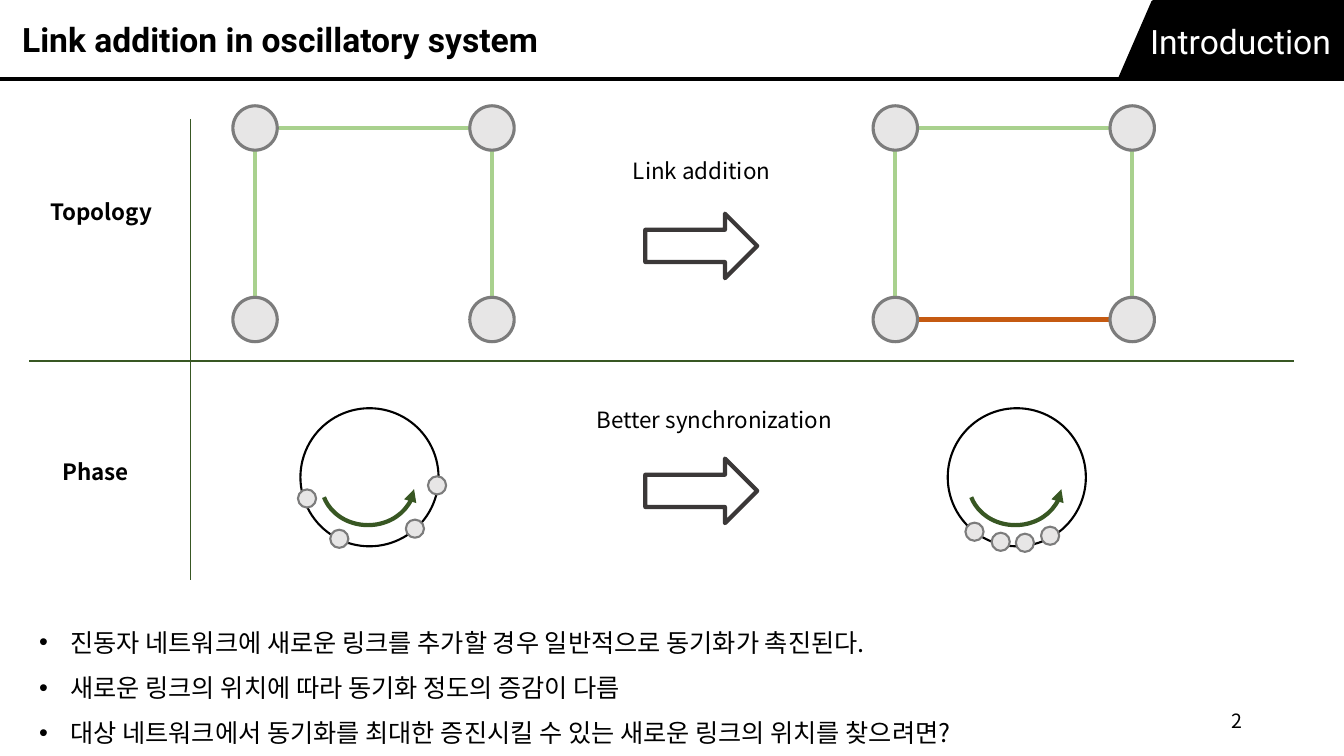
import pptx
import pptx.util
import pptx.dml.color
import pptx.enum.dml
import pptx.enum.shapes
import pptx.enum.text
import pptx.oxml
import pptx.oxml.ns
import lxml.etree

Inches = pptx.util.Inches
Pt = pptx.util.Pt
RGBColor = pptx.dml.color.RGBColor
SHAPE = pptx.enum.shapes.MSO_SHAPE
ALIGN = pptx.enum.text.PP_ALIGN
ANCHOR = pptx.enum.text.MSO_ANCHOR
AUTO_SIZE = pptx.enum.text.MSO_AUTO_SIZE
qn = pptx.oxml.ns.qn

BLACK = RGBColor(0x00, 0x00, 0x00)
WHITE = RGBColor(0xFF, 0xFF, 0xFF)
NODE_FILL = RGBColor(0xE7, 0xE6, 0xE6)
NODE_EDGE = RGBColor(0x7C, 0x7C, 0x7C)
LINK_GREEN = RGBColor(0xA9, 0xD1, 0x8E)
NEW_LINK = RGBColor(0xC5, 0x5A, 0x11)
DARK_GREEN = RGBColor(0x38, 0x57, 0x23)
ARROW_GREY = RGBColor(0x3B, 0x38, 0x38)

BODY_FONT = "Noto Sans CJK KR"
HEAD_FONT = "Roboto"
NODE_SIZE = 0.44
BEAD_SIZE = 0.18
RING_SIZE = 1.37

FINDINGS = [
    "진동자 네트워크에 새로운 링크를 추가할 경우 일반적으로 동기화가 촉진된다.",
    "새로운 링크의 위치에 따라 동기화 정도의 증감이 다름",
    "대상 네트워크에서 동기화를 최대한 증진시킬 수 있는 새로운 링크의 위치를 찾으려면?",
]
# Bead centres measured from the ring centre
SPREAD_BEADS = [(-0.62, 0.21), (-0.3, 0.61), (0.45, 0.51), (0.67, 0.08)]
SYNCED_BEADS = [(-0.42, 0.54), (-0.16, 0.64), (0.08, 0.65), (0.33, 0.58)]


def style_outline(shape, color, width, fill=None):
    if fill is None:
        shape.fill.background()
    else:
        shape.fill.solid()
        shape.fill.fore_color.rgb = fill
    shape.line.color.rgb = color
    shape.line.width = Pt(width)
    shape.shadow.inherit = False


def add_outlined(slide, kind, box, color, width, fill=None):
    shape = slide.shapes.add_shape(kind, *map(Inches, box))
    style_outline(shape, color, width, fill)
    return shape


def add_line(slide, start, end, color, width):
    line = slide.shapes.add_connector(
        pptx.enum.shapes.MSO_CONNECTOR.STRAIGHT, *map(Inches, start + end))
    line.line.color.rgb = color
    line.line.width = Pt(width)
    lxml.etree.SubElement(line._element.spPr, qn("a:effectLst"))


def write(holder, lines, font, color=BLACK, paragraph_format=None, frame_format=None):
    frame = holder.text_frame
    frame_values = {"word_wrap": True, "auto_size": AUTO_SIZE.SHAPE_TO_FIT_TEXT}
    frame_values.update(frame_format or {})
    for name, value in frame_values.items():
        setattr(frame, name, value)
    for index, line in enumerate(lines):
        paragraph = frame.add_paragraph() if index else frame.paragraphs[0]
        for name, value in (paragraph_format or {}).items():
            setattr(paragraph, name, value)
        run = paragraph.add_run()
        run.text = line
        for name, value in font.items():
            setattr(run.font, name, value)
        run.font.color.rgb = color
        east_asian = lxml.etree.SubElement(run.font._element, qn("a:ea"))
        east_asian.set("typeface", font["name"])


def add_label(slide, box, lines, font, **formats):
    label = slide.shapes.add_textbox(*map(Inches, box))
    write(label, lines, font, **formats)
    return label


def add_header(slide, box):
    left, top, width, height = box
    right, bottom = left + width, top + height
    # Slanted section tab
    outline = [(right - 2.22, bottom), (right - 1.89, top + 0.02),
               (right - 0.02, top), (right - 0.01, bottom - 0.01)]
    corners = [tuple(map(Inches, corner)) for corner in outline]
    builder = slide.shapes.build_freeform(*corners[0])
    builder.add_line_segments(corners[1:], close=True)
    style_outline(builder.convert_to_shape(), BLACK, 3, BLACK)

    # Section name, rule and title
    margins = dict.fromkeys(
        ["margin_left", "margin_top", "margin_right", "margin_bottom"], Inches(0.06))
    frame_format = {"vertical_anchor": ANCHOR.MIDDLE, **margins}
    add_label(slide, (right - 2.22, top + 0.15, 2.15, 0.52), ["Introduction"],
              {"name": HEAD_FONT, "size": Pt(24)}, color=WHITE,
              paragraph_format={"alignment": ALIGN.RIGHT}, frame_format=frame_format)
    add_line(slide, (left, bottom), (right, bottom), BLACK, 3)

    title = slide.shapes.title
    place = {"left": left + 0.16, "top": top + 0.13, "width": 5.62, "height": 0.52}
    for name, value in place.items():
        setattr(title, name, Inches(value))
    write(title, ["Link addition in oscillatory system"],
          {"name": HEAD_FONT, "size": Pt(24), "bold": True},
          paragraph_format={"alignment": ALIGN.JUSTIFY},
          frame_format={**frame_format, "word_wrap": False})


def add_topology(slide, box, closed):
    left, top, width, height = box
    right, bottom = left + width - NODE_SIZE, top + height - NODE_SIZE
    half = NODE_SIZE / 2
    inner_left, inner_top = left + NODE_SIZE, top + NODE_SIZE

    # Links between neighbouring nodes
    add_line(slide, (inner_left, top + half), (right, top + half), LINK_GREEN, 3)
    for x in (left + half, right + half):
        add_line(slide, (x, inner_top), (x, bottom), LINK_GREEN, 3)
    if closed:
        add_line(slide, (inner_left, bottom + half), (right, bottom + half), NEW_LINK, 3)

    # Corner nodes
    for y in (top, bottom):
        for x in (left, right):
            add_outlined(slide, SHAPE.OVAL, (x, y, NODE_SIZE, NODE_SIZE),
                         NODE_EDGE, 2.25, NODE_FILL)


def add_phase_ring(slide, box, beads):
    left, top, size, _ = box
    add_outlined(slide, SHAPE.OVAL, box, BLACK, 1.5)
    for dx, dy in beads:
        corner = (size - BEAD_SIZE) / 2
        add_outlined(slide, SHAPE.OVAL,
                     (left + corner + dx, top + corner + dy, BEAD_SIZE, BEAD_SIZE),
                     NODE_EDGE, 1.5, NODE_FILL)

    # Direction of rotation
    rotation = add_outlined(slide, SHAPE.ARC, (left + 0.21, top + 0.35, 0.92, 0.81),
                            DARK_GREEN, 3)
    rotation.adjustments[0] = 3.604
    rotation.adjustments[1] = 98.241
    head = lxml.etree.SubElement(rotation.line._get_or_add_ln(), qn("a:headEnd"))
    head.set("type", "triangle")


def add_comparison(slide, box):
    left, top, width, height = box
    # Topology row and phase row, before and after
    for x, closed, beads in [(2.02, False, SPREAD_BEADS), (8.37, True, SYNCED_BEADS)]:
        topology_left = left + (x if not closed else x)
        add_topology(slide, (topology_left, top - 0.13, 2.79, 2.34), closed)
    for x, beads in [(2.69, SPREAD_BEADS), (9.11, SYNCED_BEADS)]:
        add_phase_ring(slide, (left + x, top + 2.87, RING_SIZE, RING_SIZE), beads)

    # Steps between the two states
    step_font = {"name": BODY_FONT, "size": Pt(16)}
    for y in (0.94, 3.37):
        add_outlined(slide, SHAPE.RIGHT_ARROW, (left + 6.11, top + y, 1.11, 0.64),
                     ARROW_GREY, 3)
    for x, y, width_of_step, step in [(5.89, 0.33, 1.8, "Link addition"),
                                      (5.53, 2.8, 2.72, "Better synchronization")]:
        add_label(slide, (left + x, top + y, width_of_step, 0.37), [step], step_font)

    # Row names
    for x, y, width_of_row, row in [(0.11, 0.74, 2.16, "Topology"),
                                    (0.23, 3.32, 1.15, "Phase")]:
        add_label(slide, (left + x, top + y, width_of_row, 0.37), [row],
                  {**step_font, "bold": True})

    # Dividers
    add_line(slide, (left, top + 2.4), (left + width, top + 2.4), DARK_GREEN, 1)
    add_line(slide, (left + 1.6, top), (left + 1.6, top + height), DARK_GREEN, 1)


def add_findings(slide, box):
    findings = add_label(slide, box, FINDINGS, {"name": BODY_FONT, "size": Pt(18)},
                         paragraph_format={"line_spacing": 1.5})
    for paragraph in findings.text_frame.paragraphs:
        properties = paragraph._p.get_or_add_pPr()
        properties.set("marL", str(Inches(0.31)))
        properties.set("indent", str(-Inches(0.31)))
        lxml.etree.SubElement(properties, qn("a:buFont")).set("typeface", "Arial")
        lxml.etree.SubElement(properties, qn("a:buChar")).set("char", "•")


def add_page_number(slide, box):
    add_label(slide, box, ["2"], {"name": BODY_FONT, "size": Pt(14)},
              paragraph_format={"alignment": ALIGN.RIGHT},
              frame_format={"vertical_anchor": ANCHOR.MIDDLE, "auto_size": AUTO_SIZE.NONE})


def main():
    deck = pptx.Presentation()
    deck.slide_width, deck.slide_height = Inches(13.33), Inches(7.5)
    slide = deck.slides.add_slide(deck.slide_layouts.get_by_name("Title Only"))
    add_header(slide, (0, 0, 13.33, 0.78))
    add_findings(slide, (0.29, 6.02, 12.1, 1.43))
    add_comparison(slide, (0.29, 1.18, 12.54, 4.57))
    add_page_number(slide, (9.42, 6.95, 3, 0.4))
    deck.save("out.pptx")


if __name__ == "__main__":
    main()
